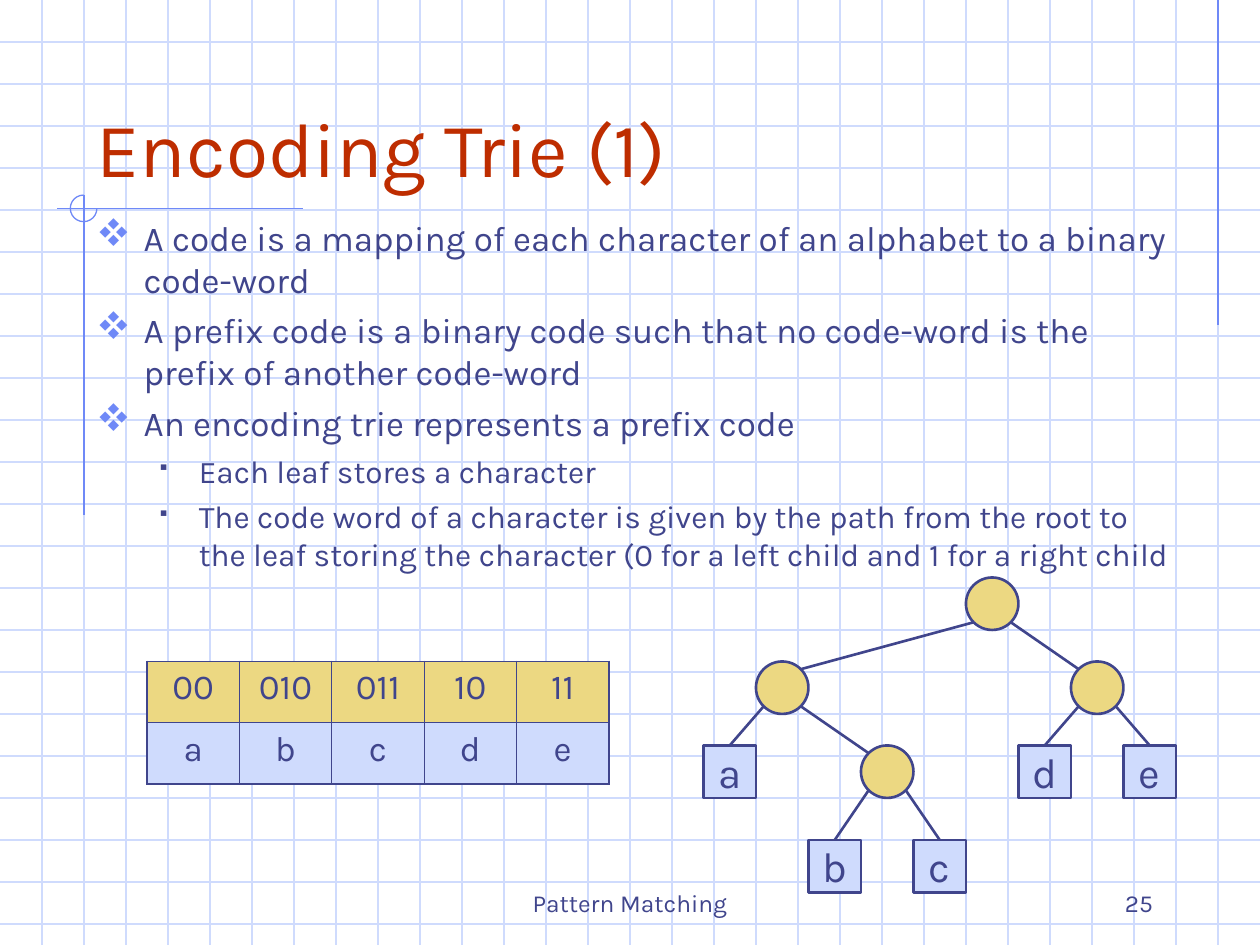
from lxml import etree
from pptx import Presentation
from pptx.dml.color import RGBColor
from pptx.enum.shapes import MSO_CONNECTOR, MSO_SHAPE
from pptx.enum.text import MSO_ANCHOR, MSO_AUTO_SIZE, PP_ALIGN
from pptx.oxml import parse_xml
from pptx.oxml.ns import nsdecls, qn
from pptx.util import Pt

FONT = "Karla"
INK, RED, BLUE = "40458C", "BE2D00", "6F89F7"
PALE, GOLD = "CFDBFD", "ECD882"
WIDTH, HEIGHT, GRID = 720, 540, 24
rgb = RGBColor.from_string


def write_text(paragraph, text, size=20, color=INK, align=PP_ALIGN.LEFT):
    paragraph.alignment = align
    run = paragraph.add_run()
    run.text = text
    run.font.name = FONT
    run.font.size = Pt(size)
    run.font.color.rgb = rgb(color)


def add_line(x1, y1, x2, y2, color, weight=0.75):
    line = slide.shapes.add_connector(
        MSO_CONNECTOR.STRAIGHT, Pt(x1), Pt(y1), Pt(x2), Pt(y2))
    line.line.color.rgb = rgb(color)
    line.line.width = Pt(weight)
    etree.SubElement(line._element.spPr, qn("a:effectLst"))
    return line


presentation = Presentation()
presentation.slide_width = Pt(WIDTH)
presentation.slide_height = Pt(HEIGHT)
slide = presentation.slides.add_slide(presentation.slide_layouts[5])
title = slide.shapes.title

# Graph paper and the corner ornament
for y in range(GRID, HEIGHT, GRID):
    add_line(0, y, WIDTH, y, PALE)
for x in range(GRID, WIDTH, GRID):
    add_line(x, 0, x, HEIGHT, PALE)
add_line(696, 0, 696, 186, BLUE)
add_line(173, 119.2, 32.5, 119.2, BLUE)
add_line(48, 111.5, 48, 294.5, BLUE)
arc = slide.shapes.add_shape(MSO_SHAPE.ARC, Pt(40.2), Pt(111.5), Pt(15.2), Pt(15.2))
arc.adjustments[0] = 0
arc.adjustments[1] = 162  # 270 degrees, in units of 100000/60000 degree
arc.shadow.inherit = False
arc.fill.background()
arc.line.color.rgb = rgb(BLUE)
arc.line.width = Pt(0.75)

# Title, moved in front of the graph paper
slide.shapes._spTree.append(title._element)
title.left, title.top, title.width, title.height = Pt(48), Pt(24), Pt(612), Pt(90)
title.text_frame.auto_size = MSO_AUTO_SIZE.NONE
title.text_frame.vertical_anchor = MSO_ANCHOR.BOTTOM
write_text(title.text_frame.paragraphs[0], "Encoding Trie (1)", size=44, color=RED)

# Bulleted text: (level, text), with a style per level
# In Wingdings, "v" is a diamond and "§" a small square
bullet_styles = [
    dict(size=20, before=5, left=27, hang=27, char="v", color=BLUE, percent=110),
    dict(size=18, before=4.5, left=58.5, hang=22.5, char="§", color=INK, percent=60),
]
points = [
    (0, "A code is a mapping of each character of an alphabet to a binary code-word"),
    (0, "A prefix code is a binary code such that no code-word is the prefix of "
        "another code-word"),
    (0, "An encoding trie represents a prefix code"),
    (1, "Each leaf stores a character"),
    (1, "The code word of a character is given by the path from the root to the leaf "
        "storing the character (0 for a left child and 1 for a right child"),
]
body = slide.shapes.add_textbox(Pt(48), Pt(120), Pt(630), Pt(234)).text_frame
body.word_wrap = True
for index, (level, text) in enumerate(points):
    style = bullet_styles[level]
    paragraph = body.add_paragraph() if index else body.paragraphs[0]
    paragraph.level = level
    properties = paragraph._p.get_or_add_pPr()
    properties.set("marL", str(Pt(style["left"])))
    properties.set("indent", str(-Pt(style["hang"])))
    bullet_color = etree.SubElement(properties, qn("a:buClr"))
    etree.SubElement(bullet_color, qn("a:srgbClr"), val=style["color"])
    etree.SubElement(properties, qn("a:buSzPct"), val=str(style["percent"] * 1000))
    etree.SubElement(properties, qn("a:buFont"), typeface="Wingdings",
                     pitchFamily="2", charset="2")
    etree.SubElement(properties, qn("a:buChar"), char=style["char"])
    paragraph.space_before = Pt(style["before"] if index else 0)
    write_text(paragraph, text, size=style["size"])

# Trie: name -> left, top; single letters are leaves
NODE = 30
node_places = {
    "root": (552, 330), "right": (612, 378), "left": (432, 378), "middle": (492, 426),
    "a": (402, 426), "b": (462, 480), "c": (522, 480), "d": (582, 426), "e": (642, 426),
}
nodes = {}
for name, (x, y) in node_places.items():
    is_leaf = len(name) == 1
    preset = MSO_SHAPE.RECTANGLE if is_leaf else MSO_SHAPE.OVAL
    node = slide.shapes.add_shape(preset, Pt(x), Pt(y), Pt(NODE), Pt(NODE))
    node.shadow.inherit = False
    node.fill.solid()
    node.fill.fore_color.rgb = rgb(PALE if is_leaf else GOLD)
    node.line.color.rgb = rgb(INK)
    node.line.width = Pt(1.5)
    if is_leaf:
        node.text_frame.word_wrap = False
        node.text_frame.vertical_anchor = MSO_ANCHOR.MIDDLE
        write_text(node.text_frame.paragraphs[0], name, size=24, align=PP_ALIGN.CENTER)
    nodes[name] = node

children = {"root": ("left", "right"), "left": ("a", "middle"),
            "middle": ("b", "c"), "right": ("d", "e")}
DIAGONAL = 10.6  # offset of a circle's 45-degree point from its centre
for parent, pair in children.items():
    parent_x, parent_y = (value + NODE / 2 for value in node_places[parent])
    for child, side in zip(pair, (-1, 1)):
        child_x, child_y = (value + NODE / 2 for value in node_places[child])
        edge = add_line(parent_x + side * DIAGONAL, parent_y + DIAGONAL,
                        child_x - side * DIAGONAL, child_y - DIAGONAL, INK, 1.5)
        if len(child) == 1:
            edge.end_connect(nodes[child], 0)

# Code table
code_rows = [["00", "010", "011", "10", "11"], ["a", "b", "c", "d", "e"]]
row_count, column_count = len(code_rows), len(code_rows[0])
table = slide.shapes.add_table(
    row_count, column_count, Pt(84), Pt(378), Pt(264), Pt(70)).table
table.first_row = table.horz_banding = False
for column in table.columns:
    column.width = Pt(52.8)
for r, (values, fill) in enumerate(zip(code_rows, (GOLD, PALE))):
    table.rows[r].height = Pt(35)
    for c, value in enumerate(values):
        cell = table.cell(r, c)
        write_text(cell.text_frame.paragraphs[0], value, align=PP_ALIGN.CENTER)
        outer_sides = {"lnL": c == 0, "lnR": c == column_count - 1,
                       "lnT": r == 0, "lnB": r == row_count - 1}
        for side, is_outer in outer_sides.items():
            weight = Pt(1.08 if is_outer else 0.45)
            cell._tc.get_or_add_tcPr().append(parse_xml(
                f'<a:{side} {nsdecls("a")} w="{weight}"><a:solidFill>'
                f'<a:srgbClr val="{INK}"/></a:solidFill></a:{side}>'))
        cell.fill.solid()
        cell.fill.fore_color.rgb = rgb(fill)

# Footer and page number
for text, left, width, align in [("Pattern Matching", 246, 228, PP_ALIGN.CENTER),
                                 ("25", 516, 150, PP_ALIGN.RIGHT)]:
    footer = slide.shapes.add_textbox(Pt(left), Pt(492), Pt(width), Pt(36)).text_frame
    footer.word_wrap = True
    footer.vertical_anchor = MSO_ANCHOR.BOTTOM
    write_text(footer.paragraphs[0], text, size=14, align=align)

presentation.save("out.pptx")
